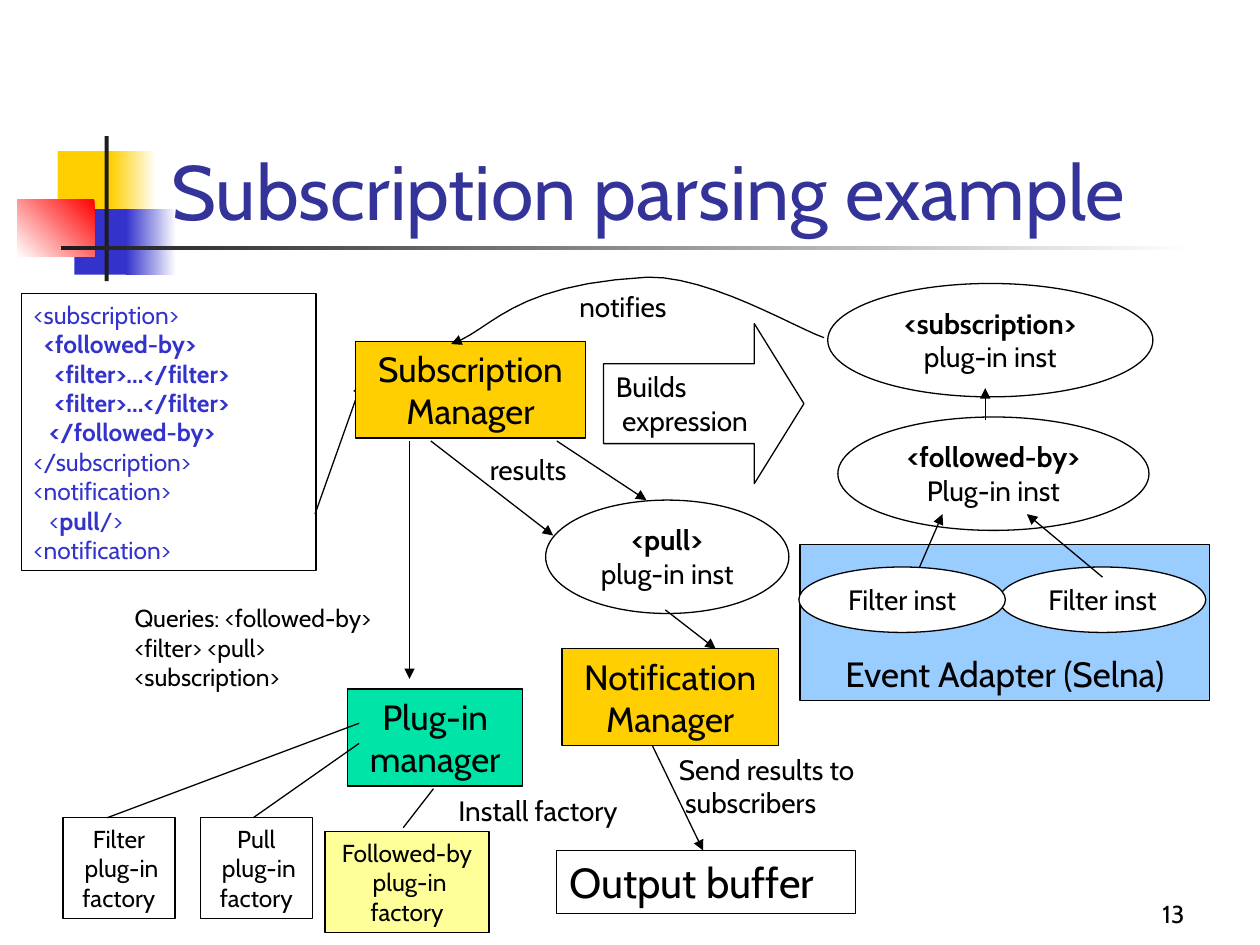
from dataclasses import dataclass

from lxml.etree import SubElement
from pptx import Presentation
from pptx.dml.color import RGBColor
from pptx.enum.shapes import MSO_CONNECTOR, MSO_SHAPE
from pptx.enum.text import MSO_ANCHOR, PP_ALIGN
from pptx.oxml.ns import qn
from pptx.util import Pt


@dataclass(frozen=True)
class Theme:
    font: str = "Cabin"
    black: str = "000000"
    white: str = "FFFFFF"
    charcoal: str = "1C1C1C"
    title: str = "333399"
    blue: str = "3333CC"
    red: str = "FF0000"
    gold: str = "FFCF01"
    green: str = "00E4A8"
    yellow: str = "FFFF99"
    sky: str = "99CCFF"
    title_size: float = 44
    output_size: float = 24
    block_size: float = 20
    label_size: float = 16
    small_size: float = 14
    line_width: float = 0.75


THEME = Theme()


@dataclass(frozen=True)
class Box:
    left: float
    top: float

    def point(self, x, y):
        return Pt(self.left + x), Pt(self.top + y)

    def area(self, x, y, width, height):
        return *self.point(x, y), Pt(width), Pt(height)


@dataclass(frozen=True)
class Line:
    text: str
    bold: str = ""
    indent: float = 0

    def runs(self):
        if not self.bold:
            return [(self.text, False)]
        before, strong, after = self.text.partition(self.bold)
        return [(text, text is strong) for text in (before, strong, after) if text]


def apply_format(target, values):
    for name, value in values.items():
        setattr(target, name, value)


def write(shape, lines, size, color=THEME.black, align=PP_ALIGN.LEFT,
          anchor=MSO_ANCHOR.TOP, wrap=False):
    frame = shape.text_frame
    apply_format(frame, {"word_wrap": wrap, "vertical_anchor": anchor})
    for index, line in enumerate(lines):
        line = line if isinstance(line, Line) else Line(line)
        paragraph = frame.add_paragraph() if index else frame.paragraphs[0]
        paragraph.alignment = align
        if line.indent:
            paragraph._p.get_or_add_pPr().set("marL", str(Pt(line.indent)))
        for text, bold in line.runs():
            run = paragraph.add_run()
            run.text = text
            apply_format(run.font, {"name": THEME.font, "size": Pt(size), "bold": bold})
            run.font.color.rgb = RGBColor.from_string(color)


def outline(shape):
    shape.line.width = Pt(THEME.line_width)
    shape.line.color.rgb = RGBColor.from_string(THEME.black)


def add_block(slide, area, lines, size, fill=None, kind=MSO_SHAPE.RECTANGLE,
              align=PP_ALIGN.CENTER, **text_format):
    shape = slide.shapes.add_shape(kind, *area)
    shape.shadow.inherit = False
    if fill:
        shape.fill.solid()
        shape.fill.fore_color.rgb = RGBColor.from_string(fill)
    else:
        shape.fill.background()
    outline(shape)
    write(shape, lines, size, align=align, **text_format)
    return shape


def add_ellipse(slide, area, lines):
    add_block(slide, area, lines, THEME.label_size, THEME.white, MSO_SHAPE.OVAL)


def add_text(slide, area, lines, size, **text_format):
    write(slide.shapes.add_textbox(*area), lines, size, **text_format)


def add_arrowhead(shape):
    SubElement(shape.line._get_or_add_ln(), qn("a:tailEnd"), type="triangle")


def add_line(slide, start, end, arrow=True):
    connector = slide.shapes.add_connector(MSO_CONNECTOR.STRAIGHT, *start, *end)
    outline(connector)
    if arrow:
        add_arrowhead(connector)
    SubElement(connector._element.spPr, qn("a:effectLst"))


def bezier(p0, p1, p2, p3, steps=12):
    for step in range(1, steps + 1):
        t = step / steps
        weights = ((1 - t) ** 3, 3 * t * (1 - t) ** 2, 3 * t * t * (1 - t), t ** 3)
        yield tuple(sum(w * p[axis] for w, p in zip(weights, (p0, p1, p2, p3)))
                    for axis in (0, 1))


def draw_heading(slide, box):
    # Overlapping squares and rules: area, first colour, second colour, angle
    for area, first, second, angle in (
        ((23, 38.4, 34.6, 37.4), THEME.gold, THEME.gold, 0),
        ((53.4, 38.4, 25.9, 37.4), THEME.white, THEME.gold, 180),
        ((32.5, 71.5, 33, 37.4), THEME.blue, THEME.blue, 0),
        ((62, 71.5, 28.8, 37.4), THEME.white, THEME.blue, 180),
        ((0, 65.8, 44, 33), THEME.red, THEME.white, 225),
        ((49.8, 29.8, 2.3, 82.8), THEME.charcoal, THEME.charcoal, 0),
        ((24.6, 92.4, 648, 2.3), THEME.white, THEME.charcoal, 180),
    ):
        shape = slide.shapes.add_shape(MSO_SHAPE.RECTANGLE, *box.area(*area))
        shape.shadow.inherit = False
        shape.line.fill.background()
        if first == second:
            shape.fill.solid()
            shape.fill.fore_color.rgb = RGBColor.from_string(first)
            continue
        shape.fill.gradient()
        shape.fill.gradient_angle = angle
        for stop, position, color in zip(shape.fill.gradient_stops, (0, 1), (first, second)):
            apply_format(stop, {"position": position})
            stop.color.rgb = RGBColor.from_string(color)
    add_text(slide, box.area(80.7, 0.2, 613.4, 90), ["Subscription parsing example"],
             THEME.title_size, color=THEME.title, anchor=MSO_ANCHOR.BOTTOM, wrap=True)


def draw_subscription_source(slide, box):
    filter_line = Line("<filter>...</filter>", "<filter>...</filter>", 12)
    add_block(slide, box.area(0, 0, 168.5, 158.4), [
        "<subscription>", Line("<followed-by>", "<followed-by>", 6),
        filter_line, filter_line, Line("</followed-by>", "</followed-by>", 9),
        "</subscription>", "<notification>", Line("<pull/>", "pull", 9), "<notification>",
    ], THEME.small_size, align=PP_ALIGN.LEFT, color=THEME.blue, wrap=True)
    add_line(slide, box.point(167.8, 126), box.point(194.4, 51.1))


def draw_plugin_factories(slide, box):
    # Managers
    for area, lines, fill in (
        ((167, 0, 131.8, 55.4), ["Subscription", "Manager"], THEME.gold),
        ((162.7, 198.8, 100, 55.4), ["Plug-in", "manager"], THEME.green),
    ):
        add_block(slide, box.area(*area), lines, THEME.block_size, fill)
    # Factories, each joined to the plug-in manager
    for name, area, fill, start, end in (
        ("Pull", (78.5, 272.3, 64, 57.6), None, (108.7, 272.3), (169.2, 229.8)),
        ("Filter", (0, 272.3, 64, 57.6), None, (25.2, 272.3), (169.2, 218.3)),
        ("Followed-by", (149.8, 280.2, 93.6, 57.6), THEME.yellow,
         (211.7, 255.7), (194.4, 278)),
    ):
        add_block(slide, box.area(*area), [name, Line("plug-in", indent=3), "factory"],
                  THEME.small_size, fill)
        add_line(slide, box.point(*start), box.point(*end), arrow=False)
    # Queries and installation
    add_line(slide, box.point(198, 57), box.point(198, 193))
    add_text(slide, box.area(33.8, 146.3, 166.3, 57.6),
             ["Queries: <followed-by>", "<filter> <pull>", "<subscription>"], THEME.small_size)
    add_text(slide, box.area(207.4, 255, 116.6, 26.6), ["Install factory"],
             THEME.label_size, align=PP_ALIGN.RIGHT)


def draw_delivery(slide, box):
    add_text(slide, box.area(140.9, 176.2, 126, 46),
             ["Send results to", Line("subscribers", indent=3.5)], THEME.label_size)
    add_line(slide, box.point(131.5, 173.4), box.point(161.8, 236))
    add_block(slide, box.area(81.1, 120.8, 123.8, 55.4), ["Notification", "Manager"],
              THEME.block_size, THEME.gold)
    add_block(slide, box.area(78.2, 236, 170.6, 36), ["Output buffer"],
              THEME.output_size, align=PP_ALIGN.LEFT)
    add_ellipse(slide, box.area(71.8, 35.8, 139, 64.8),
                [Line("<pull>", "<pull>"), "plug-in inst"])
    add_text(slide, box.area(32.9, 4.9, 64.8, 26.6), ["results"], THEME.label_size)
    for start, end in (((78.2, 2), (129.4, 35.8)), ((140.2, 98.5), (169, 120.8)),
                       ((6.2, 2), (76.1, 56))):
        add_line(slide, box.point(*start), box.point(*end))


def draw_expression(slide, box):
    # Block arrow and event adapter
    arrow = add_block(slide, box.area(87.9, 27, 114.5, 91.4),
                      ["Builds", Line("expression", indent=3.5)], THEME.label_size,
                      kind=MSO_SHAPE.RIGHT_ARROW, align=PP_ALIGN.LEFT)
    arrow.adjustments[1] = 0.31
    add_block(slide, box.area(200.2, 153, 234, 89.3), ["Event Adapter (Selna)"],
              THEME.block_size, THEME.sky, anchor=MSO_ANCHOR.BOTTOM)
    # Plug-in instances
    add_ellipse(slide, box.area(216, 4, 185.8, 64.8),
                [Line("<subscription>", "<subscription>"), "plug-in inst"])
    add_ellipse(slide, box.area(221.8, 80.3, 177.8, 64.8),
                [Line("<followed-by>", "<followed-by>"), "Plug-in inst"])
    for left in (314, 199.5):
        add_ellipse(slide, box.area(left, 166, 118, 37.4), ["Filter inst"])
    for start, end in (((268.5, 166), (281.6, 135.8)), ((373, 171.8), (329.8, 135.8)),
                       ((306, 81.8), (306, 63.8))):
        add_line(slide, box.point(*start), box.point(*end))
    # Notification curve
    add_text(slide, box.area(67, 4, 69.8, 26.6), ["notifies"], THEME.label_size)
    start, crest, end = (213.9, 35), (113.1, 0.4), (0.8, 38.6)
    points = [*bezier(start, (197.3, 29.2), (148.4, -0.3), crest),
              *bezier(crest, (33.9, 4.7), (24.5, 30.6), end)]
    builder = slide.shapes.build_freeform(*box.point(*start))
    builder.add_line_segments([box.point(*point) for point in points], close=False)
    curve = builder.convert_to_shape()
    curve.shadow.inherit = False
    curve.fill.background()
    outline(curve)
    add_arrowhead(curve)


def draw_page_number(slide, box):
    add_text(slide, box.area(0, 0, 149.8, 36), ["13"], THEME.small_size,
             align=PP_ALIGN.RIGHT, anchor=MSO_ANCHOR.BOTTOM, wrap=True)


def main():
    presentation = Presentation()
    apply_format(presentation, {"slide_width": Pt(720), "slide_height": Pt(540)})
    slide = presentation.slides.add_slide(presentation.slide_layouts[6])
    for draw, box in (
        (draw_heading, Box(10, 48)),
        (draw_subscription_source, Box(12.2, 167.8)),
        (draw_plugin_factories, Box(36, 195)),
        (draw_delivery, Box(240, 250)),
        (draw_expression, Box(257, 158)),
        (draw_page_number, Box(534.2, 498.2)),
    ):
        draw(slide, box)
    presentation.save("out.pptx")


if __name__ == "__main__":
    main()
